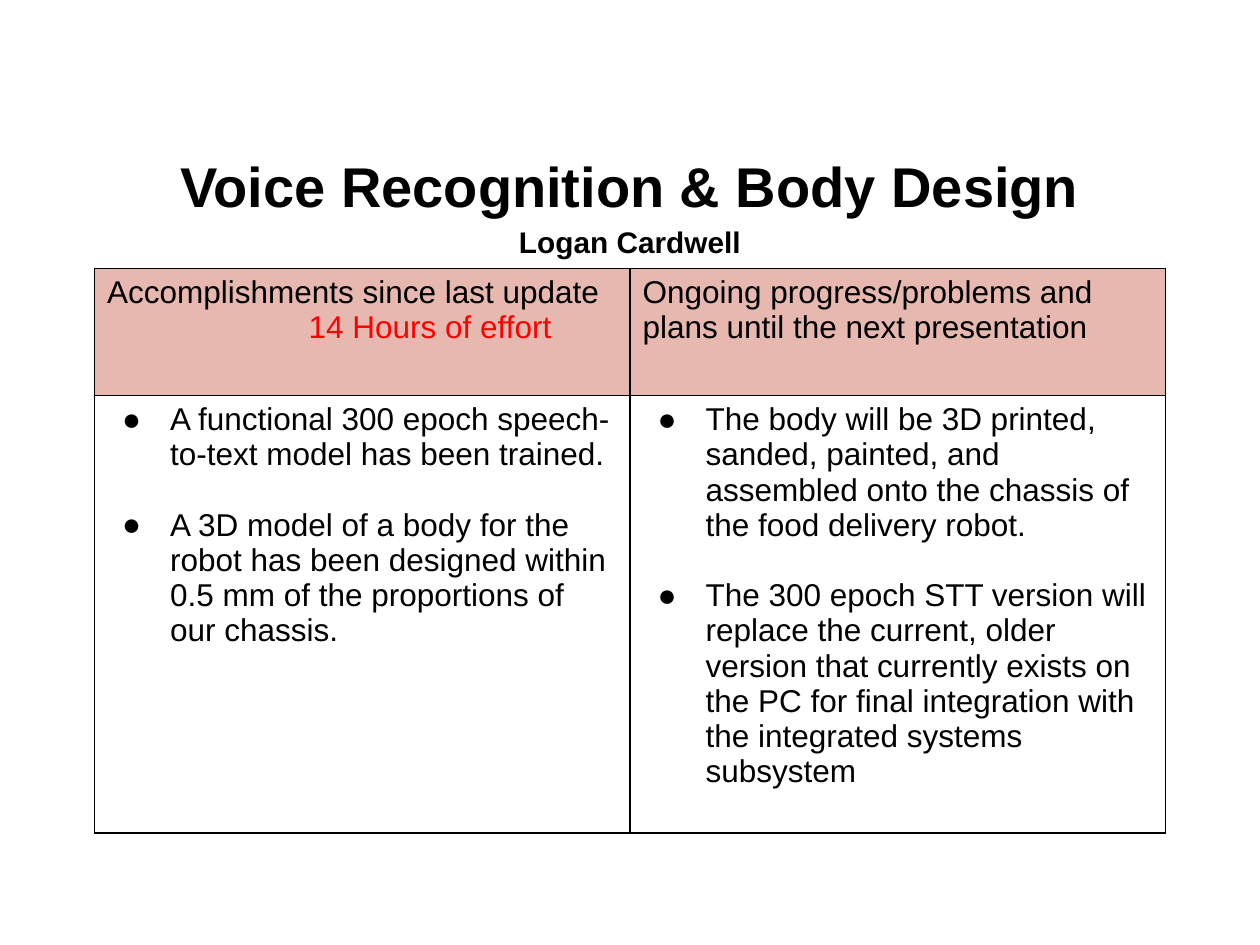
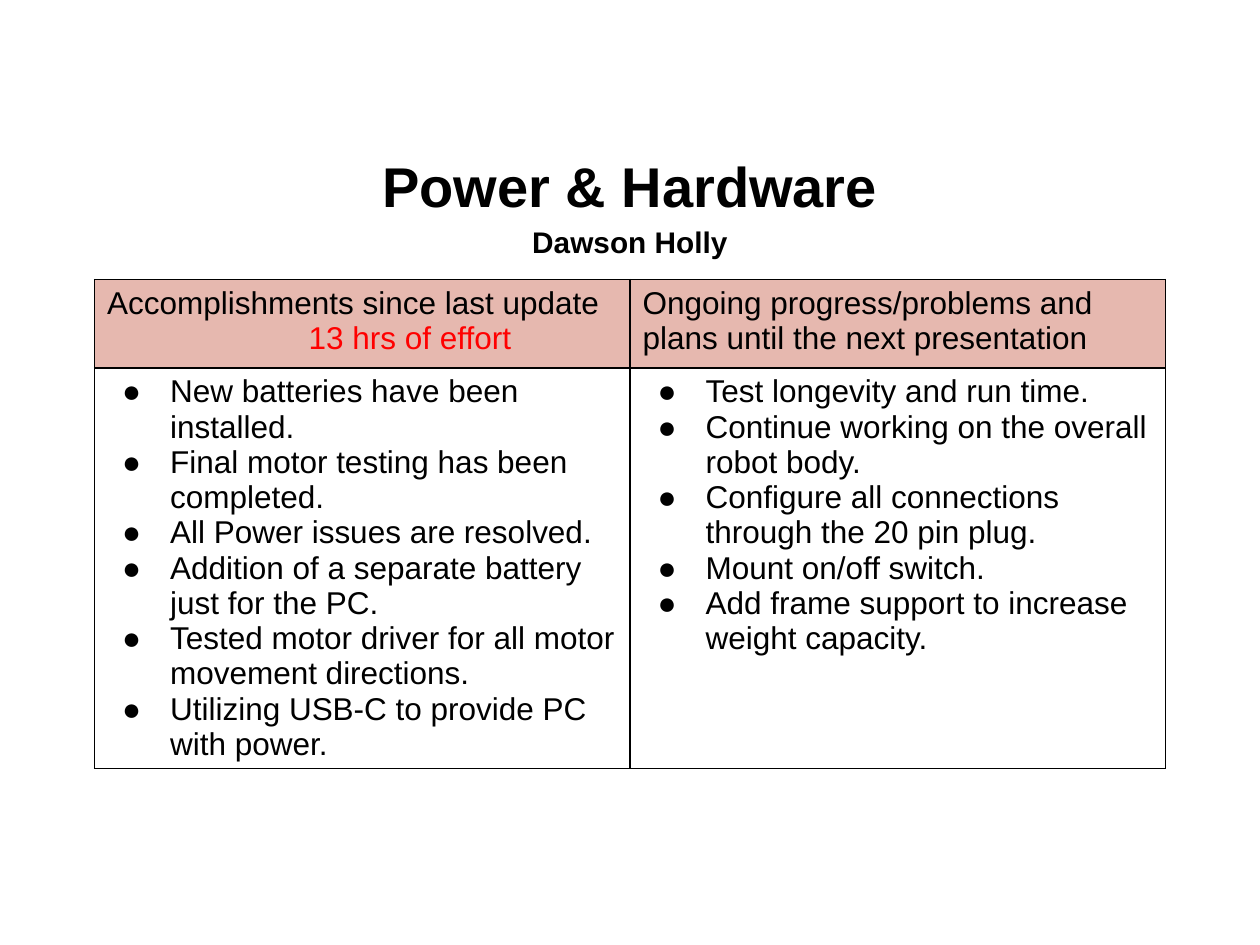
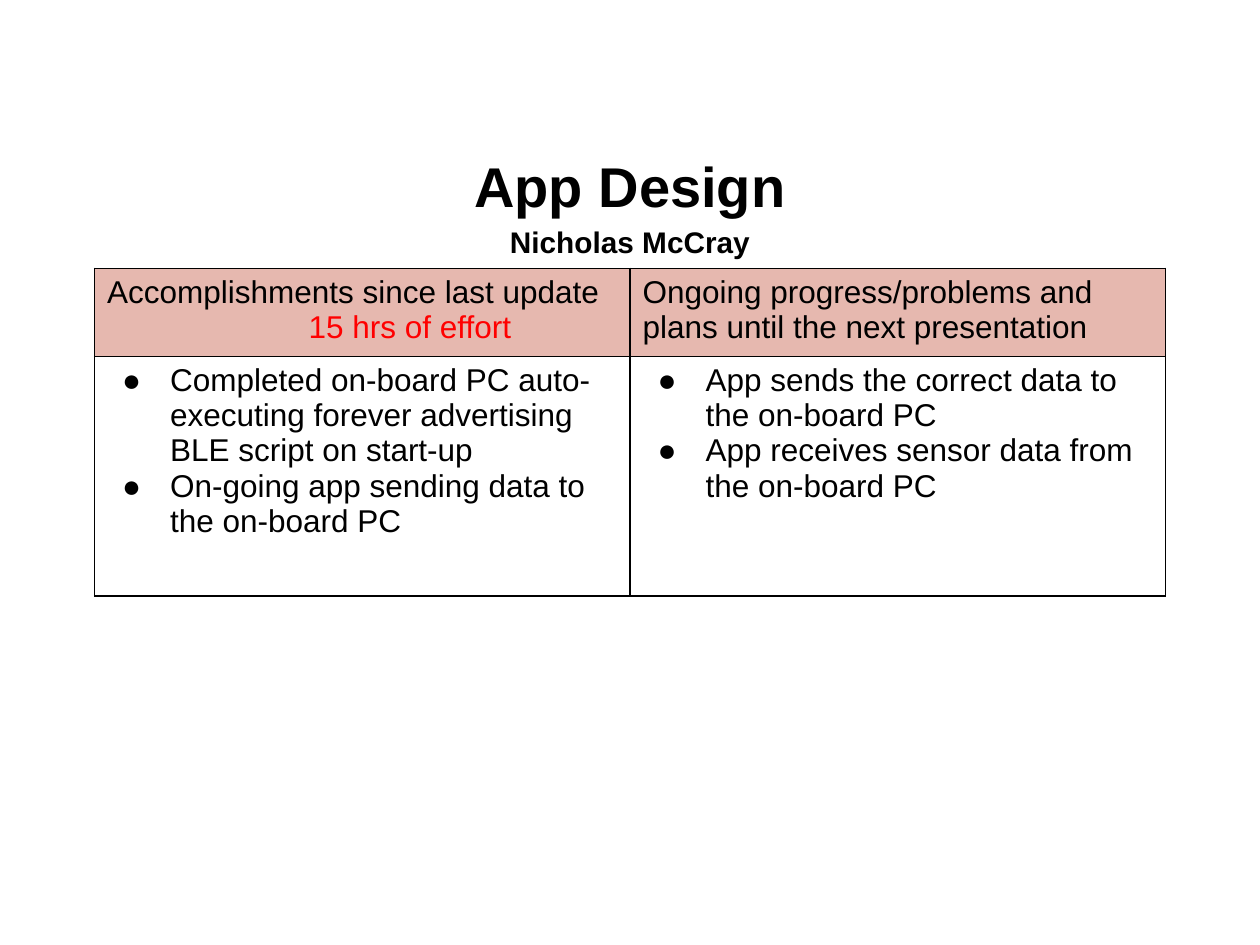
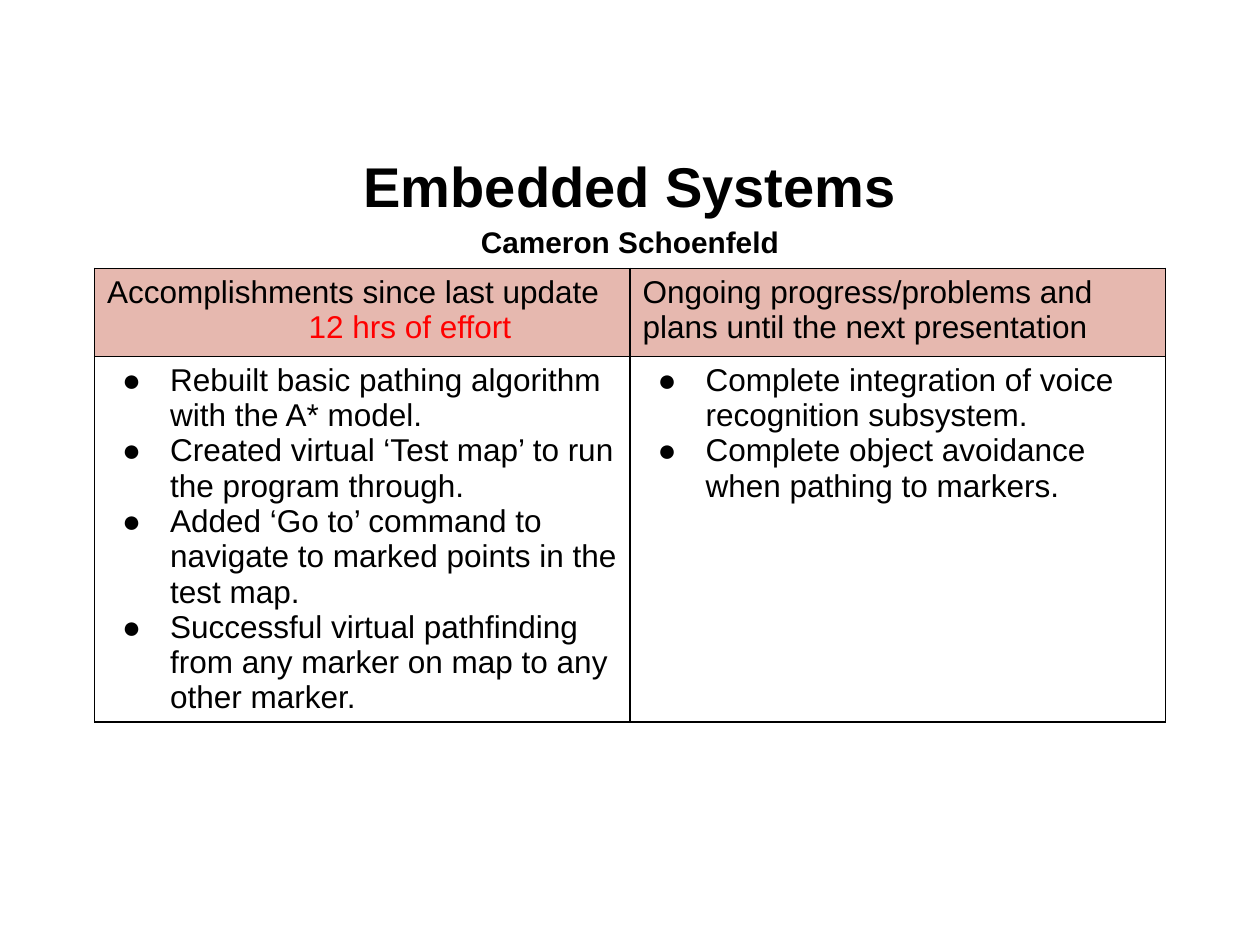
import pptx
import pptx.dml.color
import pptx.enum.text
import pptx.oxml
import pptx.oxml.ns
import pptx.util

PX = 9144  # EMU in one px, 100 px to the inch
FONT = "Arial"
COLORS = {"text": "000000", "effort": "FF0000", "header": "E6B8AF", "border": "000000"}
BODY_SIZE = 18
LINE_GAP = 20  # points, one line of body text
HEADERS = ("Accomplishments since last update",
           "Ongoing progress/problems and plans until the next presentation")


def px(n):
    return pptx.util.Emu(n * PX)


def rgb(name):
    return pptx.dml.color.RGBColor.from_string(COLORS[name])


def add_xml(parent, xml):
    ns = pptx.oxml.ns.nsdecls("a")
    parent.append(pptx.oxml.parse_xml(xml.replace(">", f" {ns}>", 1) if "/>" not in xml.split(">")[0] + ">"
                                      else xml.replace("/>", f" {ns}/>", 1)))


class Deck:
    def __init__(self):
        self.prs = pptx.Presentation()
        self.prs.slide_width, self.prs.slide_height = px(1000), px(750)
        self.s = None

    def add_slide(self):
        self.s = self.prs.slides.add_slide(self.prs.slide_layouts[5])

    def run(self, p, text, size=BODY_SIZE, color="text", bold=False):
        r = p.add_run()
        r.text = text
        r.font.name, r.font.size, r.font.bold = FONT, pptx.util.Pt(size), bold
        r.font.color.rgb = rgb(color)

    def title(self, topic, member):
        sp = self.s.shapes.title
        sp.left, sp.top, sp.width, sp.height = px(50), px(115), px(900), px(88)
        tf = sp.text_frame
        tf.word_wrap = True
        tf.auto_size = pptx.enum.text.MSO_AUTO_SIZE.NONE
        tf.vertical_anchor = pptx.enum.text.MSO_ANCHOR.MIDDLE
        for i, (text, size) in enumerate(((topic, 32), (member, 17))):
            p = tf.add_paragraph() if i else tf.paragraphs[0]
            p.alignment = pptx.enum.text.PP_ALIGN.CENTER
            p.line_spacing = 1.15
            self.run(p, text, size, bold=True)

    def style_cell(self, cell, fill=None):
        cell.margin_left = cell.margin_right = px(10)
        cell.margin_top = cell.margin_bottom = px(5)
        tc_pr = cell._tc.get_or_add_tcPr()
        for side in "LRTB":
            add_xml(tc_pr, f'<a:ln{side} w="12700"><a:solidFill><a:srgbClr val="{COLORS["border"]}"/>'
                           f'</a:solidFill></a:ln{side}>')
        if fill:
            cell.fill.solid()
            cell.fill.fore_color.rgb = rgb(fill)
        else:
            cell.fill.background()

    def bullets(self, cell, items, gap):
        tf = cell.text_frame
        for i, text in enumerate(items):
            p = tf.add_paragraph() if i else tf.paragraphs[0]
            p_pr = p._p.get_or_add_pPr()
            p_pr.set("marL", str(px(50)))
            p_pr.set("indent", str(px(-38)))
            add_xml(p_pr, f'<a:buClr><a:srgbClr val="{COLORS["text"]}"/></a:buClr>')
            add_xml(p_pr, f'<a:buFont typeface="{FONT}"/>')
            add_xml(p_pr, '<a:buChar char="●"/>')
            if i and gap:
                p.space_before = pptx.util.Pt(gap)
            self.run(p, text)

    def table(self, top, rows, effort, columns, gap):
        t = self.s.shapes.add_table(2, 2, px(75), px(top), px(850), px(sum(rows))).table
        t.first_row = t.horz_banding = False
        for row, height in zip(t.rows, rows):
            row.height = px(height)
        for c, (header, items) in enumerate(zip(HEADERS, columns)):
            t.columns[c].width = px(425)
            head, body = t.cell(0, c), t.cell(1, c)
            self.style_cell(head, "header")
            self.style_cell(body)
            self.run(head.text_frame.paragraphs[0], header)
            self.bullets(body, items, gap)
        # Hours line, indented under the first header
        p = t.cell(0, 0).text_frame.add_paragraph()
        p._p.get_or_add_pPr().set("marL", str(px(160)))
        self.run(p, effort, color="effort")


# One entry per subsystem
UPDATES = [
    dict(topic="Voice Recognition & Body Design", member="Logan Cardwell",
         effort="14 Hours of effort", rows=(101, 347), gap=LINE_GAP,
         done=["A functional 300 epoch speech-to-text model has been trained.",
               "A 3D model of a body for the robot has been designed within 0.5 mm of the "
               "proportions of our chassis."],
         plans=["The body will be 3D printed, sanded, painted, and assembled onto the chassis "
                "of the food delivery robot.",
                "The 300 epoch STT version will replace the current, older version that "
                "currently exists on the PC for final integration with the integrated "
                "systems subsystem"]),
    dict(topic="Power & Hardware", member="Dawson Holly", effort="13 hrs of effort", top=222,
         done=["New batteries have been installed.",
               "Final motor testing has been completed.",
               "All Power issues are resolved.",
               "Addition of a separate battery just for the PC.",
               "Tested motor driver for all motor movement directions.",
               "Utilizing USB-C to provide PC with power."],
         plans=["Test longevity and run time.",
                "Continue working on the overall robot body.",
                "Configure all connections through the 20 pin plug.",
                "Mount on/off switch.",
                "Add frame support to increase weight capacity."]),
    dict(topic="App Design", member="Nicholas McCray", effort="15 hrs of effort",
         done=["Completed on-board PC auto-executing forever advertising BLE script on start-up",
               "On-going app sending data to the on-board PC"],
         plans=["App sends the correct data to the on-board PC",
                "App receives sensor data from the on-board PC"]),
    dict(topic="Embedded Systems", member="Cameron Schoenfeld", effort="12 hrs of effort",
         done=["Rebuilt basic pathing algorithm with the A* model.",
               "Created virtual ‘Test map’ to run the program through.",
               "Added ‘Go to’ command to navigate to marked points in the test map.",
               "Successful virtual pathfinding from any marker on map to any other marker."],
         plans=["Complete integration of voice recognition subsystem.",
                "Complete object avoidance when pathing to markers."]),
]


def main():
    deck = Deck()
    for u in UPDATES:
        deck.add_slide()
        deck.title(u["topic"], u["member"])
        deck.table(u.get("top", 213), u.get("rows", (70, 190)), u["effort"],
                   (u["done"], u["plans"]), u.get("gap", 0))
    deck.prs.save("out.pptx")


if __name__ == "__main__":
    main()
